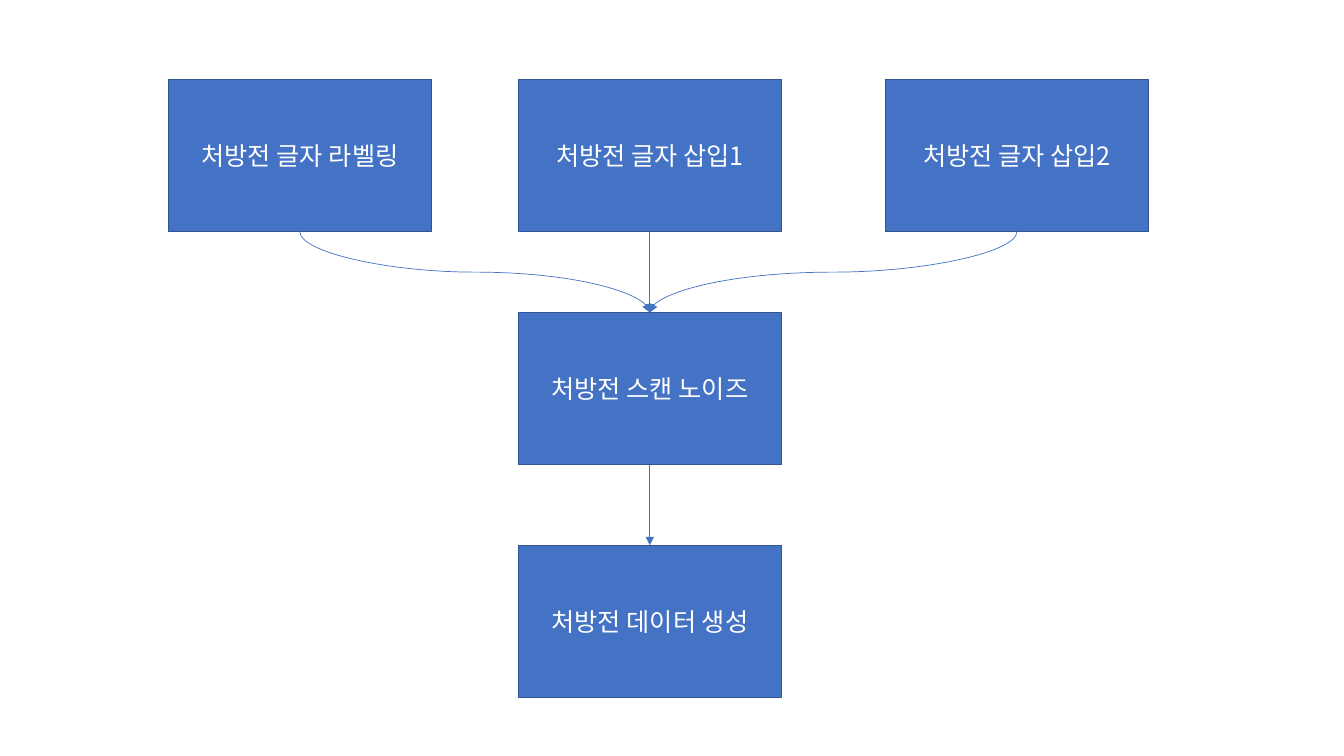
from dataclasses import dataclass

from lxml.etree import SubElement
from pptx import Presentation
from pptx.dml.color import RGBColor
from pptx.enum.shapes import MSO_CONNECTOR, MSO_SHAPE
from pptx.enum.text import MSO_ANCHOR, PP_ALIGN
from pptx.oxml.ns import qn
from pptx.shapes.autoshape import Shape
from pptx.slide import Slide
from pptx.util import Inches, Pt

FONT = "Noto Sans CJK KR"
BLUE, NAVY, WHITE = "4472C4", "325491", "FFFFFF"
COLUMN_LEFTS = (1.67, 5.14, 8.78)
FIRST_TOP, STEP_WIDTH, STEP_HEIGHT, ROW_GAP = 0.79, 2.61, 1.51, 0.8
BOTTOM_SITE, TOP_SITE = 2, 0


@dataclass(frozen=True)
class Step:
    label: str
    column: int
    row: int


@dataclass(frozen=True)
class Flow:
    source: Step
    target: Step


def color(hex_value: str) -> RGBColor:
    return RGBColor.from_string(hex_value)


def draw_step(slide: Slide, step: Step) -> Shape:
    box = slide.shapes.add_shape(
        MSO_SHAPE.RECTANGLE,
        Inches(COLUMN_LEFTS[step.column]),
        Inches(FIRST_TOP + step.row * (STEP_HEIGHT + ROW_GAP)),
        Inches(STEP_WIDTH),
        Inches(STEP_HEIGHT),
    )
    box.shadow.inherit = False
    box.fill.solid()
    box.fill.fore_color.rgb = color(BLUE)
    box.line.color.rgb = color(NAVY)
    box.line.width = Pt(1)
    frame = box.text_frame
    frame.text = step.label
    frame.word_wrap = True
    frame.vertical_anchor = MSO_ANCHOR.MIDDLE
    paragraph = frame.paragraphs[0]
    paragraph.alignment = PP_ALIGN.CENTER
    font = paragraph.runs[0].font
    font.name = FONT
    font.size = Pt(18)
    font.color.rgb = color(WHITE)
    SubElement(paragraph.runs[0]._r.get_or_add_rPr(), qn("a:ea"), typeface=FONT)
    return box


def draw_flow(slide: Slide, source: Shape, target: Shape) -> None:
    start_x, start_y = source.left + source.width // 2, source.top + source.height
    end_x, end_y = target.left + target.width // 2, target.top
    straight = start_x == end_x
    kind = MSO_CONNECTOR.STRAIGHT if straight else MSO_CONNECTOR.CURVE
    arrow = slide.shapes.add_connector(kind, start_x, start_y, end_x, end_y)
    arrow.begin_connect(source, BOTTOM_SITE)
    arrow.end_connect(target, TOP_SITE)
    arrow.line.color.rgb = color(BLUE)
    arrow.line.width = Pt(0.5)
    properties = arrow._element.spPr
    SubElement(arrow.line._get_or_add_ln(), qn("a:tailEnd"), type="triangle")
    SubElement(properties, qn("a:effectLst"))
    if not straight:
        span, drop = abs(end_x - start_x), end_y - start_y
        arrow.left = (start_x + end_x - drop) // 2
        arrow.top = (start_y + end_y - span) // 2
        arrow.width, arrow.height = drop, span
        rightward = end_x > start_x
        transform = properties.find(qn("a:xfrm"))
        transform.set("rot", str((270 if rightward else 90) * 60000))
        transform.set("flipH", "1" if rightward else "0")


labeling = Step("처방전 글자 라벨링", 0, 0)
first_insertion = Step("처방전 글자 삽입1", 1, 0)
second_insertion = Step("처방전 글자 삽입2", 2, 0)
scan_noise = Step("처방전 스캔 노이즈", 1, 1)
data_creation = Step("처방전 데이터 생성", 1, 2)

steps = (labeling, first_insertion, second_insertion, scan_noise, data_creation)
flows = (
    Flow(labeling, scan_noise),
    Flow(second_insertion, scan_noise),
    Flow(first_insertion, scan_noise),
    Flow(scan_noise, data_creation),
)

presentation = Presentation()
presentation.slide_width = Inches(13.33)
presentation.slide_height = Inches(7.5)
pipeline = presentation.slides.add_slide(presentation.slide_layouts[6])

boxes = {step: draw_step(pipeline, step) for step in steps}
for flow in flows:
    draw_flow(pipeline, boxes[flow.source], boxes[flow.target])

presentation.save("out.pptx")
